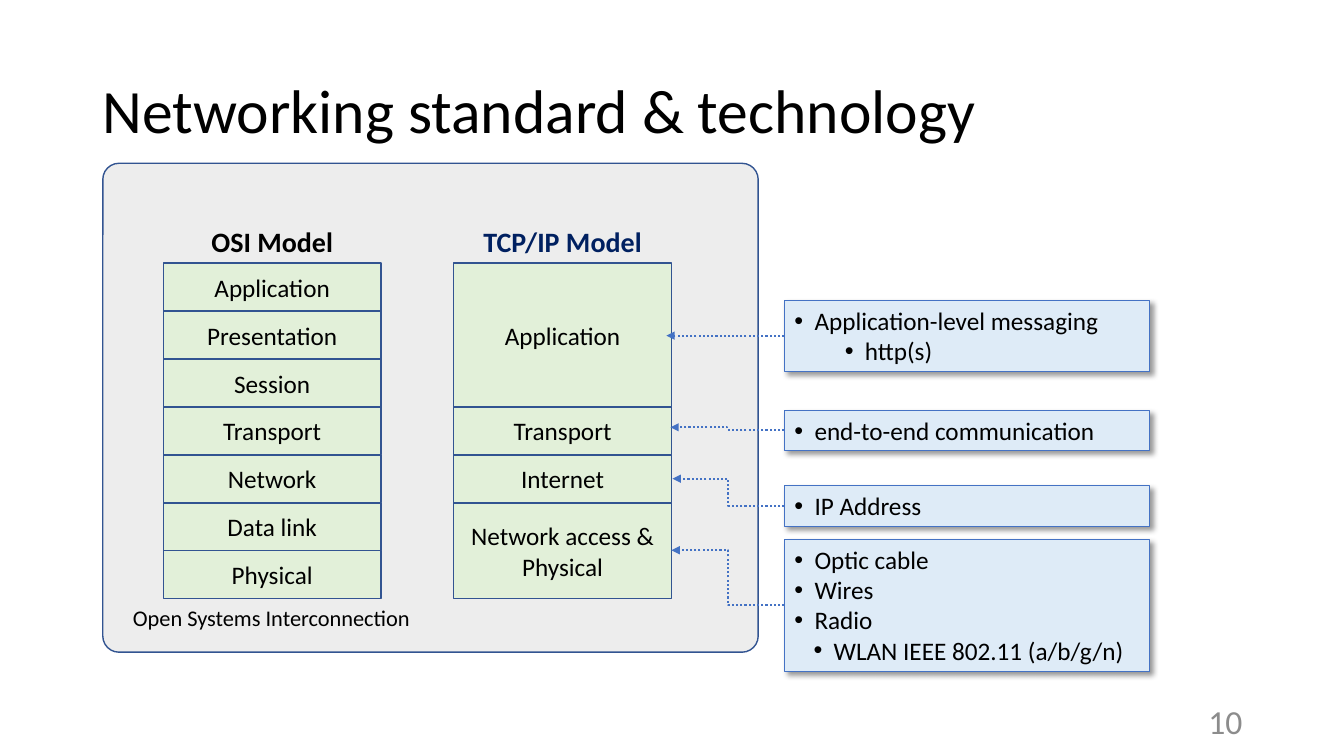
from dataclasses import dataclass

from lxml.etree import SubElement
from pptx import Presentation
from pptx.dml.color import RGBColor
from pptx.enum.dml import MSO_LINE
from pptx.enum.shapes import MSO_CONNECTOR, MSO_SHAPE
from pptx.enum.text import MSO_ANCHOR, PP_ALIGN
from pptx.oxml.ns import qn
from pptx.util import Inches, Pt

TITLE = "Networking standard & technology"
PAGE_NUMBER = "10"
OSI_CAPTION = "Open Systems Interconnection"

# Each layer: lines of text, number of OSI rows it spans
OSI_LAYERS = [
    (["Application"], 1), (["Presentation"], 1), (["Session"], 1), (["Transport"], 1),
    (["Network"], 1), (["Data link"], 1), (["Physical"], 1),
]
TCP_IP_LAYERS = [
    (["Application"], 3), (["Transport"], 1), (["Internet"], 1),
    (["Network access &", "Physical"], 2),
]
# Each note: top, height, arrow tip, bullets as (level, left margin, text)
NOTES = [
    (2.98, 0.71, (6.61, 3.33), [(0, 0.2, "Application-level messaging"), (1, 0.7, "http(s)")]),
    (4.07, 0.4, (6.65, 4.24), [(0, 0.2, "end-to-end communication")]),
    (4.82, 0.4, (6.67, 4.75), [(0, 0.2, "IP Address")]),
    (5.35, 1.31, (6.66, 5.46), [(0, 0.2, "Optic cable"), (0, 0.2, "Wires"), (0, 0.2, "Radio"),
                                (1, 0.39, "WLAN IEEE 802.11 (a/b/g/n)")]),
]

LAYER_TOP, LAYER_WIDTH, LAYER_PITCH = 2.61, 2.16, 3.33 / 7
OSI_LEFT, TCP_IP_LEFT = 1.62, 4.5
NOTE_LEFT, NOTE_WIDTH = 7.78, 3.62
BULLET_HANG = 0.2


@dataclass(frozen=True)
class Theme:
    font: str = "Calibri"
    text: str = "000000"
    accent_text: str = "002060"
    muted_text: str = "8C8C8C"
    panel: str = "EDEDED"
    layer: str = "E2F0D9"
    layer_line: str = "325491"
    note: str = "DEEBF7"
    note_line: str = "4472C4"
    title_size: int = 44
    page_size: int = 24
    heading_size: int = 20
    body_size: int = 18
    caption_size: int = 16


THEME = Theme()


def write_lines(shape, lines, size, color=THEME.text, bold=False,
                align=PP_ALIGN.LEFT, anchor=MSO_ANCHOR.TOP):
    """Fill a shape with one paragraph per line and return the paragraphs."""
    frame = shape.text_frame
    frame.word_wrap = True
    frame.vertical_anchor = anchor
    paragraphs = []
    for index, line in enumerate(lines):
        paragraph = frame.add_paragraph() if index else frame.paragraphs[0]
        paragraph.alignment = align
        run = paragraph.add_run()
        run.text = line
        run.font.name = THEME.font
        run.font.size = Pt(size)
        run.font.bold = bold
        run.font.color.rgb = RGBColor.from_string(color)
        paragraphs.append(paragraph)
    return paragraphs


def add_text(slide, box, text, size, **style):
    text_box = slide.shapes.add_textbox(*map(Inches, box))
    return write_lines(text_box, [text], size, **style)[0]


def add_box(slide, box, fill, line, line_width, kind=MSO_SHAPE.RECTANGLE):
    shape = slide.shapes.add_shape(kind, *map(Inches, box))
    shape.fill.solid()
    shape.fill.fore_color.rgb = RGBColor.from_string(fill)
    shape.line.color.rgb = RGBColor.from_string(line)
    shape.line.width = Pt(line_width)
    shape.shadow.inherit = False
    return shape


def add_stack(slide, left, heading, heading_color, layers):
    """Draw a model as a headed column of layers."""
    row = 0
    for lines, span in layers:
        box = (left, LAYER_TOP + row * LAYER_PITCH, LAYER_WIDTH, span * LAYER_PITCH)
        layer = add_box(slide, box, THEME.layer, THEME.layer_line, 1)
        write_lines(layer, lines, THEME.body_size, align=PP_ALIGN.CENTER,
                    anchor=MSO_ANCHOR.MIDDLE)
        row += span
    add_text(slide, (left + 0.08, 2.18, 2, 0.44), heading, THEME.heading_size,
             color=heading_color, bold=True, align=PP_ALIGN.CENTER)


def add_bullet(paragraph, level, margin):
    paragraph.level = level
    properties = paragraph._p.get_or_add_pPr()
    properties.set("marL", str(Inches(margin)))
    properties.set("indent", str(-Inches(BULLET_HANG)))
    SubElement(properties, qn("a:buFont"), typeface="Arial")
    SubElement(properties, qn("a:buChar"), char="•")


def add_drop_shadow(shape):
    effects = shape._element.spPr.find(qn("a:effectLst"))
    shadow = SubElement(effects, qn("a:outerShdw"), blurRad=str(Pt(4)), dist=str(Pt(3)),
                        dir=str(45 * 60000), algn="tl", rotWithShape="0")
    color = SubElement(shadow, qn("a:srgbClr"), val="000000")
    SubElement(color, qn("a:alpha"), val="40000")


def add_arrow(slide, note, tip):
    middle = note.top + note.height // 2
    arrow = slide.shapes.add_connector(MSO_CONNECTOR.ELBOW, note.left, middle,
                                       *map(Inches, tip))
    arrow.begin_connect(note, 1)
    arrow.line.color.rgb = RGBColor.from_string(THEME.note_line)
    arrow.line.width = Pt(1.5)
    arrow.line.dash_style = MSO_LINE.ROUND_DOT
    SubElement(arrow.line._get_or_add_ln(), qn("a:tailEnd"), type="triangle")
    SubElement(arrow._element.spPr, qn("a:effectLst"))


def add_note(slide, top, height, tip, bullets):
    note = add_box(slide, (NOTE_LEFT, top, NOTE_WIDTH, height),
                   THEME.note, THEME.note_line, 0.75)
    add_drop_shadow(note)
    paragraphs = write_lines(note, [text for _, _, text in bullets], THEME.body_size)
    for paragraph, (level, margin, _) in zip(paragraphs, bullets):
        add_bullet(paragraph, level, margin)
    add_arrow(slide, note, tip)


def main():
    presentation = Presentation()
    presentation.slide_width, presentation.slide_height = Inches(13.33), Inches(7.5)
    slide = presentation.slides.add_slide(presentation.slide_layouts[6])

    panel = add_box(slide, (1.02, 1.62, 6.5, 4.85), THEME.panel, THEME.layer_line, 1,
                    MSO_SHAPE.ROUNDED_RECTANGLE)
    panel.adjustments[0] = 0.033
    add_stack(slide, OSI_LEFT, "OSI Model", THEME.text, OSI_LAYERS)
    add_stack(slide, TCP_IP_LEFT, "TCP/IP Model", THEME.accent_text, TCP_IP_LAYERS)
    add_text(slide, (1.22, 5.94, 3.19, 0.37), OSI_CAPTION, THEME.caption_size)

    title = add_text(slide, (0.92, 0.4, 11.5, 1.45), TITLE, THEME.title_size,
                     anchor=MSO_ANCHOR.MIDDLE)
    title.line_spacing = 0.9
    for note in NOTES:
        add_note(slide, *note)
    add_text(slide, (9.42, 6.95, 3, 0.4), PAGE_NUMBER, THEME.page_size,
             color=THEME.muted_text, align=PP_ALIGN.RIGHT, anchor=MSO_ANCHOR.MIDDLE)
    presentation.save("out.pptx")


if __name__ == "__main__":
    main()
